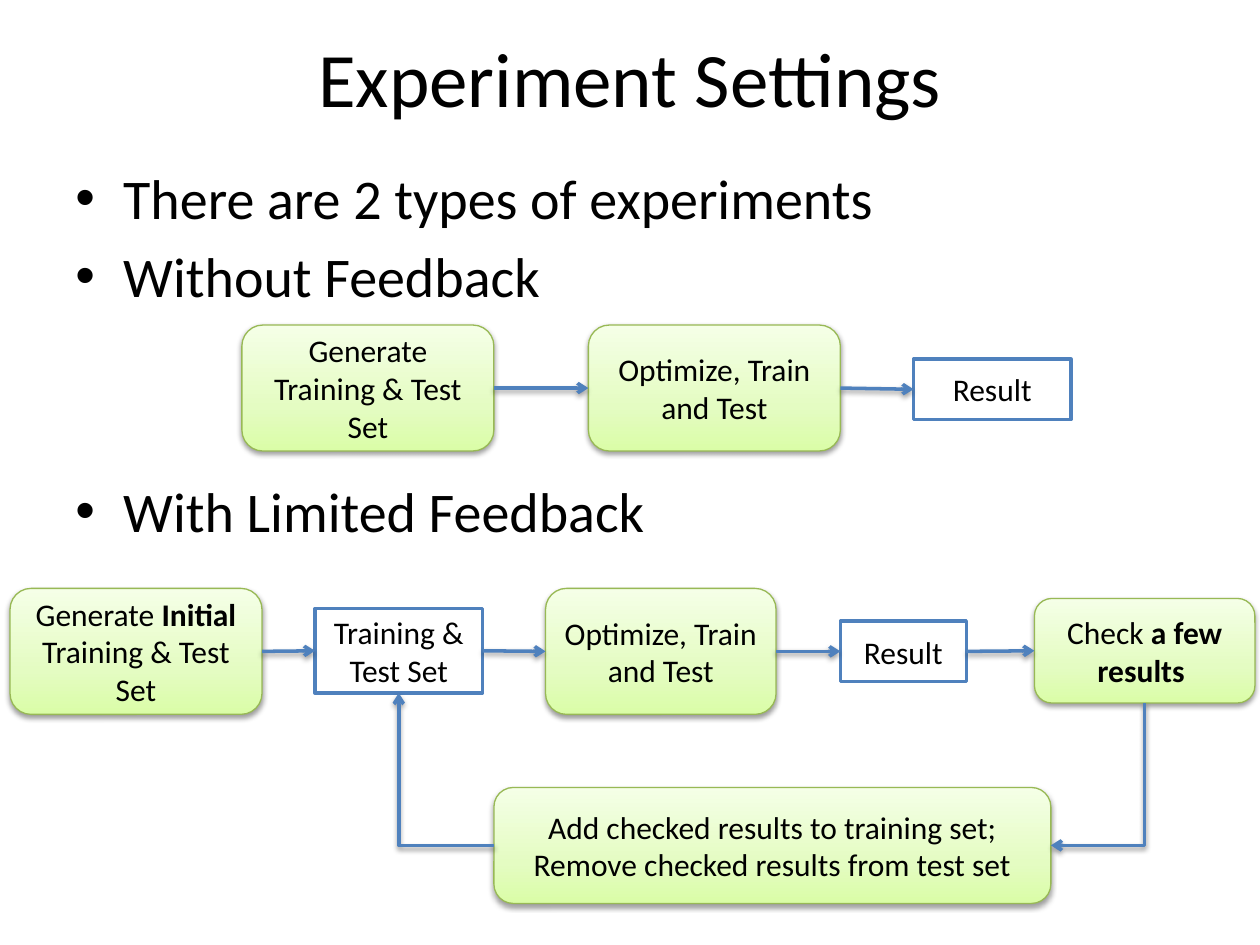
"""Build the Experiment Settings slide with its two experiment flows."""
from dataclasses import dataclass
from itertools import pairwise

from lxml.etree import SubElement
from pptx import Presentation
from pptx.dml.color import RGBColor
from pptx.enum.shapes import MSO_CONNECTOR as Link, MSO_SHAPE as Preset
from pptx.enum.text import MSO_ANCHOR as Anchor, PP_ALIGN as Align
from pptx.oxml import parse_xml
from pptx.oxml.ns import nsdecls, qn
from pptx.shapes.autoshape import Shape
from pptx.shapes.connector import Connector
from pptx.text.text import TextFrame
from pptx.util import Inches, Pt

BLACK = RGBColor(0x00, 0x00, 0x00)
WHITE = RGBColor(0xFF, 0xFF, 0xFF)
BLUE = RGBColor(0x4F, 0x81, 0xBD)
GREEN = RGBColor(0x98, 0xB9, 0x55)
GREEN_STOPS = (
    (0, RGBColor(0xDA, 0xFD, 0xA7)),
    (35, RGBColor(0xE4, 0xFC, 0xC2)),
    (100, RGBColor(0xF5, 0xFF, 0xE7)),
)
BOTTOM_TO_TOP = 270
TOP, LEFT, BOTTOM, RIGHT = range(4)


@dataclass(frozen=True)
class Node:
    text: str
    left: float
    top: float
    width: float
    height: float
    is_step: bool = True


def write(frame: TextFrame, text: str, *, size: float, align: Align = Align.CENTER,
          anchor: Anchor = Anchor.MIDDLE, bullet: str = "",
          gaps: tuple[float, ...] = ()) -> None:
    """Write one paragraph per line, with bold between double asterisks."""
    frame.word_wrap = True
    frame.vertical_anchor = anchor
    for index, line in enumerate(text.split("\n")):
        paragraph = frame.add_paragraph() if index else frame.paragraphs[0]
        if bullet:
            props = paragraph._p.get_or_add_pPr()
            props.set("marL", str(Inches(0.38)))
            props.set("indent", str(Inches(-0.38)))
            SubElement(props, qn("a:buFont"), typeface="Arial")
            SubElement(props, qn("a:buChar"), char=bullet)
        paragraph.alignment = align
        if gaps:
            paragraph.space_before = Pt(gaps[index])
        for part, words in enumerate(line.split("**")):
            if words:
                run = paragraph.add_run()
                run.text = words
                run.font.name = "Calibri"
                run.font.size = Pt(size)
                run.font.bold = part % 2 == 1
                run.font.color.rgb = BLACK


def add_text(slide, box: tuple[float, ...], text: str, **text_format) -> None:
    textbox = slide.shapes.add_textbox(*map(Inches, box))
    write(textbox.text_frame, text, **text_format)


def add_shadow(item: Shape | Connector) -> None:
    properties = item.element.spPr
    for effects in properties.findall(qn("a:effectLst")):
        properties.remove(effects)
    properties.append(parse_xml(
        f'<a:effectLst {nsdecls("a")}><a:outerShdw blurRad="{Pt(3.1)}" '
        f'dist="{Pt(1.6)}" dir="5400000" rotWithShape="0">'
        '<a:srgbClr val="000000"><a:alpha val="38000"/></a:srgbClr>'
        '</a:outerShdw></a:effectLst>'))


def fill_gradient(shape: Shape) -> None:
    stops = "".join(
        f'<a:gs pos="{position * 1000}"><a:srgbClr val="{color}"/></a:gs>'
        for position, color in GREEN_STOPS)
    gradient = parse_xml(
        f'<a:gradFill rotWithShape="1" {nsdecls("a")}><a:gsLst>{stops}</a:gsLst>'
        f'<a:lin ang="{BOTTOM_TO_TOP * 60000}" scaled="0"/></a:gradFill>')
    shape.element.spPr.find(qn("a:prstGeom")).addnext(gradient)


def add_node(slide, node: Node) -> Shape:
    preset = Preset.ROUNDED_RECTANGLE if node.is_step else Preset.RECTANGLE
    shape = slide.shapes.add_shape(
        preset, *map(Inches, (node.left, node.top, node.width, node.height)))
    shape.shadow.inherit = False
    shape.line.color.rgb = GREEN if node.is_step else BLUE
    shape.line.width = Pt(0.75 if node.is_step else 2)
    if node.is_step:
        fill_gradient(shape)
        add_shadow(shape)
    else:
        shape.fill.solid()
        shape.fill.fore_color.rgb = WHITE
    write(shape.text_frame, node.text, size=18)
    return shape


def add_arrow(slide, source: Shape, target: Shape, start: int = RIGHT,
              end: int = LEFT, kind: Link = Link.STRAIGHT) -> Connector:
    arrow = slide.shapes.add_connector(kind, 0, 0, 0, 0)
    arrow.begin_connect(source, start)
    arrow.end_connect(target, end)
    arrow.line.color.rgb = BLUE
    arrow.line.width = Pt(2)
    SubElement(arrow.element.spPr.find(qn("a:ln")), qn("a:tailEnd"), type="arrow")
    add_shadow(arrow)
    return arrow


def add_corner_arrow(slide, source: Shape, target: Shape, start: int, end: int,
                     rotation: int) -> None:
    """Add an arrow with one right-angled corner, turned clockwise by rotation."""
    arrow = add_arrow(slide, source, target, start, end, Link.ELBOW)
    width, height = arrow.width, arrow.height
    center_x, center_y = arrow.left + width // 2, arrow.top + height // 2
    if rotation % 180:
        width, height = height, width
    arrow.left, arrow.top = center_x - width // 2, center_y - height // 2
    arrow.width, arrow.height = width, height
    properties = arrow.element.spPr
    transform = properties.find(qn("a:xfrm"))
    for flip in ("flipH", "flipV"):
        transform.attrib.pop(flip, None)
    transform.set("rot", str(rotation * 60000))
    properties.find(qn("a:prstGeom")).set("prst", "bentConnector2")


def add_flow(slide, nodes: tuple[Node, ...]) -> list[Shape]:
    shapes = [add_node(slide, node) for node in nodes]
    for source, target in pairwise(shapes):
        add_arrow(slide, source, target)
    return shapes


WITHOUT_FEEDBACK = (
    Node("Generate Training & Test Set", 1.92, 2.58, 2, 1),
    Node("Optimize, Train and Test", 4.67, 2.58, 2, 1),
    Node("Result", 7.25, 2.85, 1.25, 0.48, is_step=False),
)
LIMITED_FEEDBACK = (
    Node("Generate **Initial** Training & Test Set", 0.08, 4.67, 2, 1),
    Node("Training & Test Set", 2.5, 4.83, 1.33, 0.67, is_step=False),
    Node("Optimize, Train and Test", 4.33, 4.67, 1.83, 1),
    Node("Result", 6.67, 4.93, 1, 0.48, is_step=False),
    Node("Check **a few results **", 8.21, 4.75, 1.75, 0.83),
)
UPDATE_SETS = Node(
    "Add checked results to training set;\nRemove checked results from test set",
    3.92, 6.25, 4.42, 0.92)


def main() -> None:
    presentation = Presentation()
    presentation.slide_width, presentation.slide_height = Inches(10), Inches(7.5)
    slide = presentation.slides.add_slide(presentation.slide_layouts[6])
    add_text(slide, (0.5, 0.17, 9, 0.87), "Experiment Settings", size=44)
    add_text(slide, (0.5, 1.25, 9, 5.45),
             "There are 2 types of experiments\nWithout Feedback\nWith Limited Feedback",
             size=32, align=Align.LEFT, anchor=Anchor.TOP, bullet="•", gaps=(0, 6, 96))
    add_flow(slide, WITHOUT_FEEDBACK)
    _, data_sets, _, _, check = add_flow(slide, LIMITED_FEEDBACK)
    update = add_node(slide, UPDATE_SETS)
    add_corner_arrow(slide, check, update, BOTTOM, RIGHT, rotation=90)
    add_corner_arrow(slide, update, data_sets, LEFT, BOTTOM, rotation=180)
    presentation.save("out.pptx")


if __name__ == "__main__":
    main()
